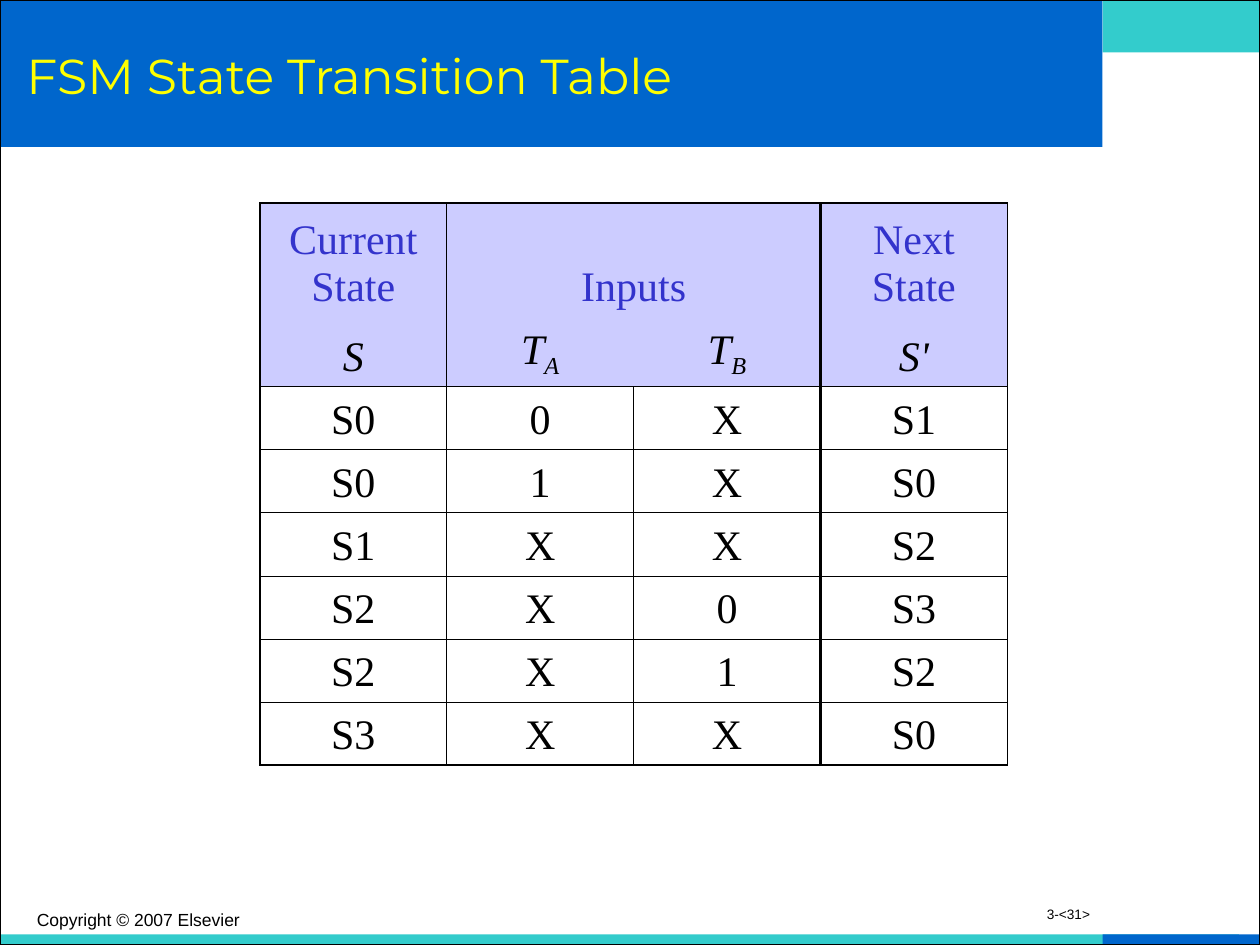
import pptx
import pptx.util
import pptx.dml.color
import pptx.enum.shapes
import pptx.enum.text
from lxml import etree

Pt = pptx.util.Pt
ALIGN = pptx.enum.text.PP_ALIGN
ANCHOR = pptx.enum.text.MSO_ANCHOR

TITLE = "FSM State Transition Table"
COPYRIGHT = "Copyright © 2007 Elsevier"
PAGE = "3-<31>"
HEADINGS = ["Current State", "Inputs", "", "Next State"]
SYMBOLS = [("S", ""), ("T", "A"), ("T", "B"), ("S'", "")]
TRANSITIONS = [
    ("S0", "0", "X", "S1"),
    ("S0", "1", "X", "S0"),
    ("S1", "X", "X", "S2"),
    ("S2", "X", "0", "S3"),
    ("S2", "X", "1", "S2"),
    ("S3", "X", "X", "S0"),
]

THEME = {
    "teal": "33CCCC", "blue": "0066CC", "yellow": "FFFF00", "black": "000000",
    "heading": "3333CC", "header_fill": "CCCCFF",
    "title_font": "Montserrat", "table_font": "Times New Roman", "small_font": "Arial",
    "title_size": 28, "table_size": 24, "copyright_size": 10, "page_size": 7.8,
    "outer": 1.08, "thin": 0.45, "divider": 1.47, "frame": 0.75,
}

SLIDE_W, SLIDE_H = 720, 540
BAND_W, BAND_H = 630, 84
STRIP_H = 6
BARS = [
    (BAND_W, 0, SLIDE_W - BAND_W, 30, "teal"),
    (0, SLIDE_H - STRIP_H, 708, STRIP_H, "teal"),
    (BAND_W, SLIDE_H - STRIP_H, SLIDE_W - BAND_W, STRIP_H, "blue"),
    (0, 0, BAND_W, BAND_H, "blue"),
]
TABLE_X, TABLE_Y, COL_W = 148.5, 116, 106.8
HEADER_ROWS = [64.6, 40]
BODY_ROW = 36.1


def rgb(name):
    return pptx.dml.color.RGBColor.from_string(THEME[name])


def write(tf, text, font, size, color="black", align=ALIGN.LEFT, anchor=ANCHOR.TOP,
          italic=False, sub="", spacing=None):
    tf.word_wrap = True
    tf.vertical_anchor = anchor
    p = tf.paragraphs[0]
    p.alignment = align
    if spacing:
        p.line_spacing = spacing
    for part, baseline in ((text, None), (sub, "-25000")):
        if not part:
            continue
        r = p.add_run()
        r.text = part
        r.font.name = THEME[font]
        r.font.size = Pt(THEME[size])
        r.font.italic = italic
        r.font.color.rgb = rgb(color)
        if baseline:
            r._r.get_or_add_rPr().set("baseline", baseline)


def add_text(s, box, text, **fmt):
    write(s.shapes.add_textbox(*map(Pt, box)).text_frame, text, **fmt)


def add_rect(s, box, fill=None, line=None):
    sp = s.shapes.add_shape(pptx.enum.shapes.MSO_SHAPE.RECTANGLE, *map(Pt, box))
    sp.shadow.inherit = False
    if fill:
        sp.fill.solid()
        sp.fill.fore_color.rgb = rgb(fill)
    else:
        sp.fill.background()
    if line:
        sp.line.color.rgb = rgb(line)
        sp.line.width = Pt(THEME["frame"])
    else:
        sp.line.fill.background()


def set_borders(cell, widths):
    ns = "{http://schemas.openxmlformats.org/drawingml/2006/main}"
    tcPr = cell._tc.get_or_add_tcPr()
    for side, width in zip("LRTB", widths):
        ln = etree.SubElement(tcPr, f"{ns}ln{side}", w=str(int(Pt(width))))
        if width:
            fill = etree.SubElement(ln, ns + "solidFill")
            etree.SubElement(fill, ns + "srgbClr", val=THEME["black"])
        else:
            etree.SubElement(ln, ns + "noFill")


def add_state_table(s):
    heights = HEADER_ROWS + [BODY_ROW] * len(TRANSITIONS)
    cols = len(HEADINGS)
    table = s.shapes.add_table(len(heights), cols, Pt(TABLE_X), Pt(TABLE_Y),
                               Pt(COL_W * cols), Pt(sum(heights))).table
    table.first_row = table.horz_banding = False
    for col in table.columns:
        col.width = Pt(COL_W)
    for row, height in zip(table.rows, heights):
        row.height = Pt(height)
    table.cell(0, 1).merge(table.cell(0, 2))

    outer, thin, divider = THEME["outer"], THEME["thin"], THEME["divider"]
    across = [outer, 0] + [thin] * len(TRANSITIONS) + [outer]
    contents = [[(h, "") for h in HEADINGS], SYMBOLS]
    contents += [[(value, "") for value in row] for row in TRANSITIONS]
    for i, row in enumerate(contents):
        header = i < len(HEADER_ROWS)
        down = [outer, thin, 0 if header else thin, divider, outer]
        for j, (text, sub) in enumerate(row):
            cell = table.cell(i, j)
            set_borders(cell, (down[j], down[j + 1], across[i], across[i + 1]))
            if header:
                cell.fill.solid()
                cell.fill.fore_color.rgb = rgb("header_fill")
            else:
                cell.fill.background()
            cell.vertical_anchor = ANCHOR.BOTTOM
            write(cell.text_frame, text, font="table_font", size="table_size",
                  color="heading" if i == 0 else "black", align=ALIGN.CENTER,
                  anchor=None, italic=i == 1, sub=sub)


def main():
    prs = pptx.Presentation()
    prs.slide_width, prs.slide_height = Pt(SLIDE_W), Pt(SLIDE_H)
    s = prs.slides.add_slide(prs.slide_layouts[6])
    for *box, color in BARS:
        add_rect(s, box, fill=color)
    add_rect(s, (0, 0, SLIDE_W, SLIDE_H), line="black")
    add_text(s, (8, 8, 612, 70), TITLE, font="title_font", size="title_size",
             color="yellow", anchor=ANCHOR.MIDDLE)
    add_state_table(s)
    add_text(s, (14, 516, 228, 18), COPYRIGHT, font="small_font", size="copyright_size")
    add_text(s, (480, 516, 150, 18), PAGE, font="small_font", size="page_size",
             align=ALIGN.RIGHT, spacing=0.8)
    prs.save("out.pptx")


if __name__ == "__main__":
    main()
